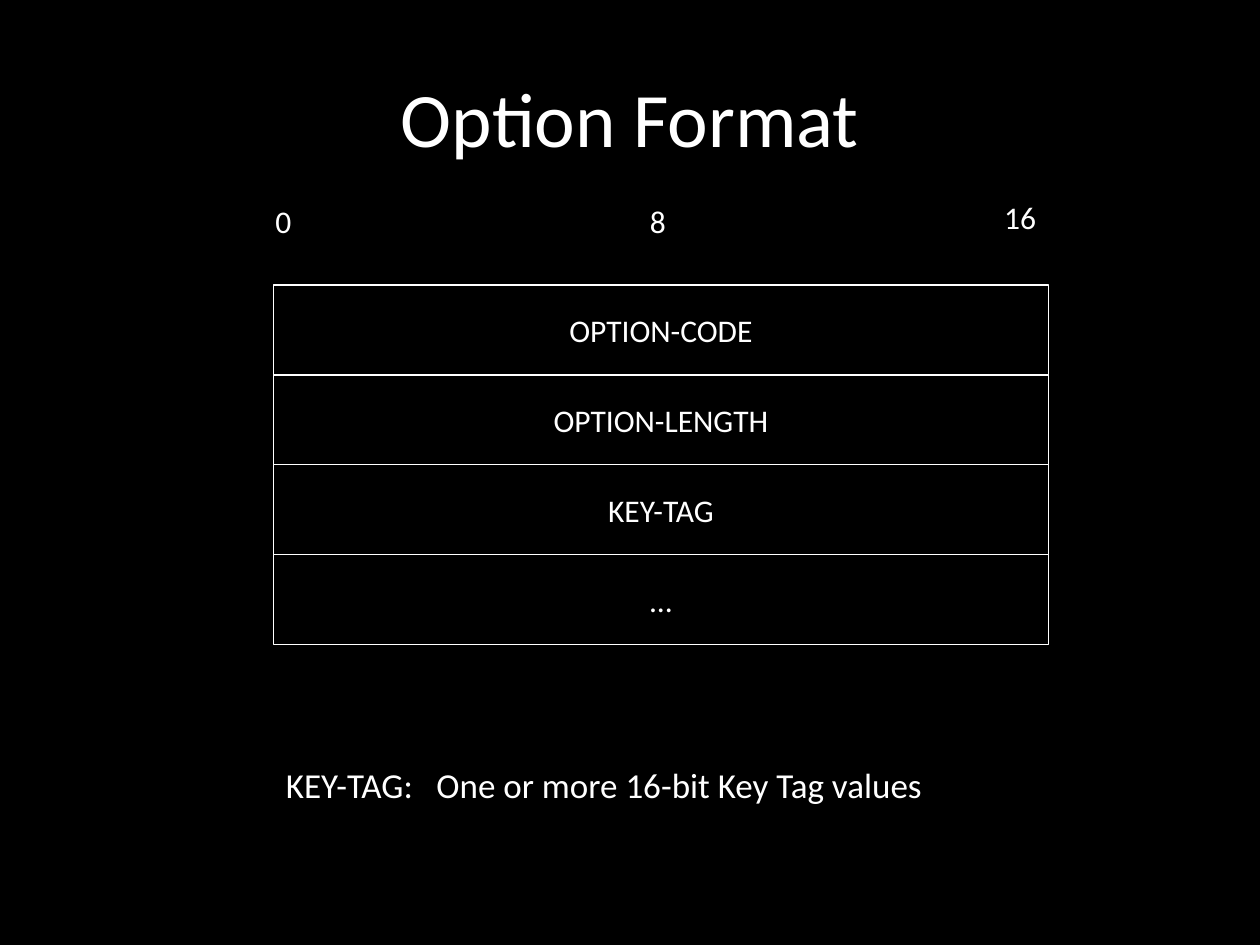
from dataclasses import dataclass

from lxml.etree import SubElement
from pptx import Presentation
from pptx.dml.color import RGBColor as Rgb
from pptx.enum.shapes import MSO_SHAPE as Preset
from pptx.enum.text import MSO_ANCHOR as Anchor, PP_ALIGN as Align
from pptx.oxml.ns import qn
from pptx.util import Pt


@dataclass(frozen=True)
class Theme:
    """Colours, font and type sizes of the slide."""
    ground: Rgb = Rgb(0, 0, 0)
    ink: Rgb = Rgb(255, 255, 255)
    font: str = "Calibri"
    title: float = 44
    label: float = 18
    note: float = 20
    rule: float = 0.75


THEME = Theme()


def write(holder, wording, size, align=Align.LEFT, anchor=Anchor.TOP):
    """Put one styled paragraph into a shape and return it."""
    frame = holder.text_frame
    frame.word_wrap = True
    frame.vertical_anchor = anchor
    line = frame.paragraphs[0]
    line.alignment = align
    run = line.add_run()
    run.text = wording
    for name, value in {"name": THEME.font, "size": Pt(size)}.items():
        setattr(run.font, name, value)
    run.font.color.rgb = THEME.ink
    return line


def add_text(slide, box, wording, size, **layout):
    """Add a text box at box and return its paragraph."""
    return write(slide.shapes.add_textbox(*map(Pt, box)), wording, size, **layout)


def add_title(slide, box, wording):
    """Add the centred slide title."""
    add_text(slide, box, wording, THEME.title, align=Align.CENTER, anchor=Anchor.MIDDLE)


def add_bit_scale(slide, box):
    """Add the bit positions above the packet fields."""
    left, top, width, height = box
    marks = [
        ("0", -6, 0, 26, Align.LEFT),
        ("8", 208, 0, 26, Align.LEFT),
        ("16", width - 35, -2.2, 35, Align.RIGHT),
    ]
    for bit, across, down, span, align in marks:
        add_text(slide, (left + across, top + down, span, height), bit,
                 THEME.label, align=align)


def add_fields(slide, box, names):
    """Stack one outlined rectangle per packet field."""
    left, top, width, height = box
    row = height / len(names)
    for index, name in enumerate(names):
        field = slide.shapes.add_shape(
            Preset.RECTANGLE, *map(Pt, (left, top + index * row, width, row)))
        field.shadow.inherit = False
        field.fill.background()
        field.line.color.rgb = THEME.ink
        field.line.width = Pt(THEME.rule)
        write(field, name, THEME.label, Align.CENTER, Anchor.MIDDLE)


def add_definition(slide, box, term, meaning, indent):
    """Add a term and its meaning, parted by a tab stop."""
    line = add_text(slide, box, f"{term}:\t{meaning}", THEME.note)
    stops = SubElement(line._p.get_or_add_pPr(), qn("a:tabLst"))
    SubElement(stops, qn("a:tab"), pos=str(Pt(indent)), algn="l")


def build():
    """Build and save the option format slide."""
    deck = Presentation()
    deck.slide_width, deck.slide_height = Pt(720), Pt(540)
    slide = deck.slides.add_slide(deck.slide_layouts[6])
    slide.background.fill.solid()
    slide.background.fill.fore_color.rgb = THEME.ground
    left, width = 156.3, 442.8
    add_title(slide, (36, 21.6, 648, 90), "Option Format")
    add_fields(slide, (left, 162.8, width, 205.6),
               ["OPTION-CODE", "OPTION-LENGTH", "KEY-TAG", "..."])
    add_bit_scale(slide, (left, 111.7, width, 29))
    add_definition(slide, (left, 432.7, width, 31.5), "KEY-TAG",
                   "One or more 16-bit Key Tag values", 86)
    deck.save("out.pptx")


build()
